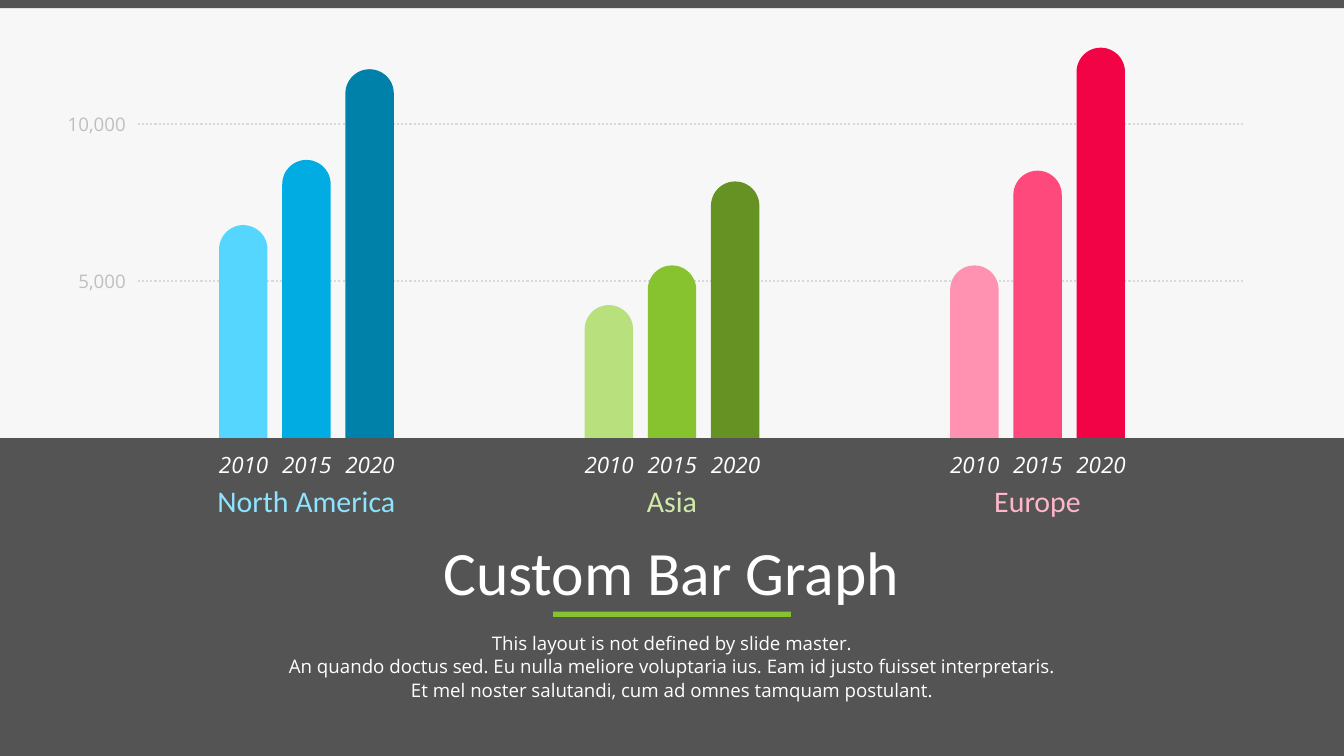
from lxml.etree import SubElement
from pptx import Presentation
from pptx.dml.color import RGBColor as Rgb
from pptx.enum.dml import MSO_LINE as Dash
from pptx.enum.shapes import MSO_CONNECTOR as Conn, MSO_SHAPE as Form
from pptx.enum.text import MSO_ANCHOR as Anchor, MSO_AUTO_SIZE as Fit, PP_ALIGN as Align
from pptx.oxml.ns import qn
from pptx.util import Inches, Pt

HUES = {
    "paper": "F7F7F7", "dark": "545454", "grid": "D9D9D9", "tick": "BFBFBF",
    "white": "FFFFFF", "lime": "87C32F",
}
GROUPS = [
    ("North America", 4.56, 3.25, "8DE4FF",
     [(3.96, "55D6FF"), (4.93, "00ACE2"), (6.28, "0081AA")]),
    ("Asia", 10, 1.1, "D0EAA9",
     [(2.77, "B8E07D"), (3.36, "87C32F"), (4.61, "659223")]),
    ("Europe", 15.44, 1.67, "FEB6CB",
     [(3.36, "FE92B0"), (4.77, "FD497C"), (6.6, "F20346")]),
]
YEARS = ["2010", "2015", "2020"]
STEP, THICK, FOOT = 0.94, 0.72, 7.31
BODY = "\v".join([
    "This layout is not defined by slide master.",
    "An quando doctus sed. Eu nulla meliore voluptaria ius. Eam id justo fuisset interpretaris.",
    "Et mel noster salutandi, cum ad omnes tamquam postulant.",
])


class Painter:
    """Holds the style and the current slide, and draws each kind of element."""

    def __init__(self, slide):
        self.slide = slide
        self.shapes = slide.shapes
        fill = slide.background.fill
        fill.solid()
        fill.fore_color.rgb = self.tint("paper")

    def tint(self, hue):
        return Rgb.from_string(HUES.get(hue, hue))

    def block(self, box, hue, form=Form.RECTANGLE):
        shape = self.shapes.add_shape(form, *map(Inches, box))
        shape.shadow.inherit = False
        shape.fill.solid()
        shape.fill.fore_color.rgb = self.tint(hue)
        shape.line.fill.background()
        return shape

    def bar(self, mid, size, hue):
        box = (mid - size / 2, FOOT - size / 2 - THICK / 2, size, THICK)
        shape = self.block(box, hue, Form.ROUNDED_RECTANGLE)
        shape.adjustments[0] = 0.5
        shape.rotation = 90

    def rule(self, left, right, top):
        ends = map(Inches, (left, top, right, top))
        link = self.shapes.add_connector(Conn.STRAIGHT, *ends)
        SubElement(link.line._get_or_add_ln().getparent(), qn("a:effectLst"))
        look = {"width": Pt(2.25), "dash_style": Dash.ROUND_DOT}
        link.line.color.rgb = self.tint("grid")
        for key, value in look.items():
            setattr(link.line, key, value)

    def text(self, box, words, size, hue, face="Open Sans", align=Align.CENTER,
             anchor=Anchor.MIDDLE, wrap=False, italic=None, space=None):
        frame = self.shapes.add_textbox(*map(Inches, box)).text_frame
        frame.text = words
        para = frame.paragraphs[0]
        looks = [
            (frame, {"word_wrap": wrap, "vertical_anchor": anchor,
                     "auto_size": Fit.NONE if wrap else Fit.SHAPE_TO_FIT_TEXT}),
            (para, {"alignment": align, "line_spacing": space}),
        ]
        for run in para.runs:
            run.font.color.rgb = self.tint(hue)
            looks.append((run.font, {"name": face, "size": Pt(size), "italic": italic}))
        for item, look in looks:
            for key, value in look.items():
                setattr(item, key, value)


def main():
    deck = Presentation()
    deck.slide_width, deck.slide_height = Inches(20), Inches(11.25)
    pen = Painter(deck.slides.add_slide(deck.slide_layouts[6]))

    ticks = [("5,000", 4.18, 0.91), ("10,000", 1.84, 1.07)]
    for label, top, wide in ticks:
        pen.rule(2.05, 18.49, top)
    for name, mid, wide, hue, bars in GROUPS:
        for spot, (size, shade) in enumerate(bars, -1):
            pen.bar(mid + spot * STEP, size, shade)
    pen.block((0, 6.52, 20, 4.73), "dark")
    for label, top, wide in ticks:
        pen.text((1.97 - wide, top - 0.22, wide, 0.44), label, 20, "tick", align=Align.RIGHT)
    pen.block((0, 0, 20, 0.12), "dark")

    for name, mid, wide, hue, bars in GROUPS:
        for spot, year in enumerate(YEARS, -1):
            box = (mid + spot * STEP - 0.47, 6.66, 0.95, 0.5)
            pen.text(box, year, 24, "white", anchor=Anchor.BOTTOM, italic=True)
        pen.text((mid - wide / 2, 7.13, wide, 0.64), name, 32, hue, "Calibri")

    pen.text((0.79, 7.61, 18.4, 1.48), "Custom Bar Graph", 66, "white", "Calibri",
             anchor=Anchor.BOTTOM, wrap=True)
    pen.block((8.23, 9.1, 3.54, 0.08), "lime")
    pen.text((0.47, 9.33, 19.06, 1.64), BODY, 20, "white",
             anchor=Anchor.TOP, wrap=True, space=1.06)
    deck.save("out.pptx")


if __name__ == "__main__":
    main()
